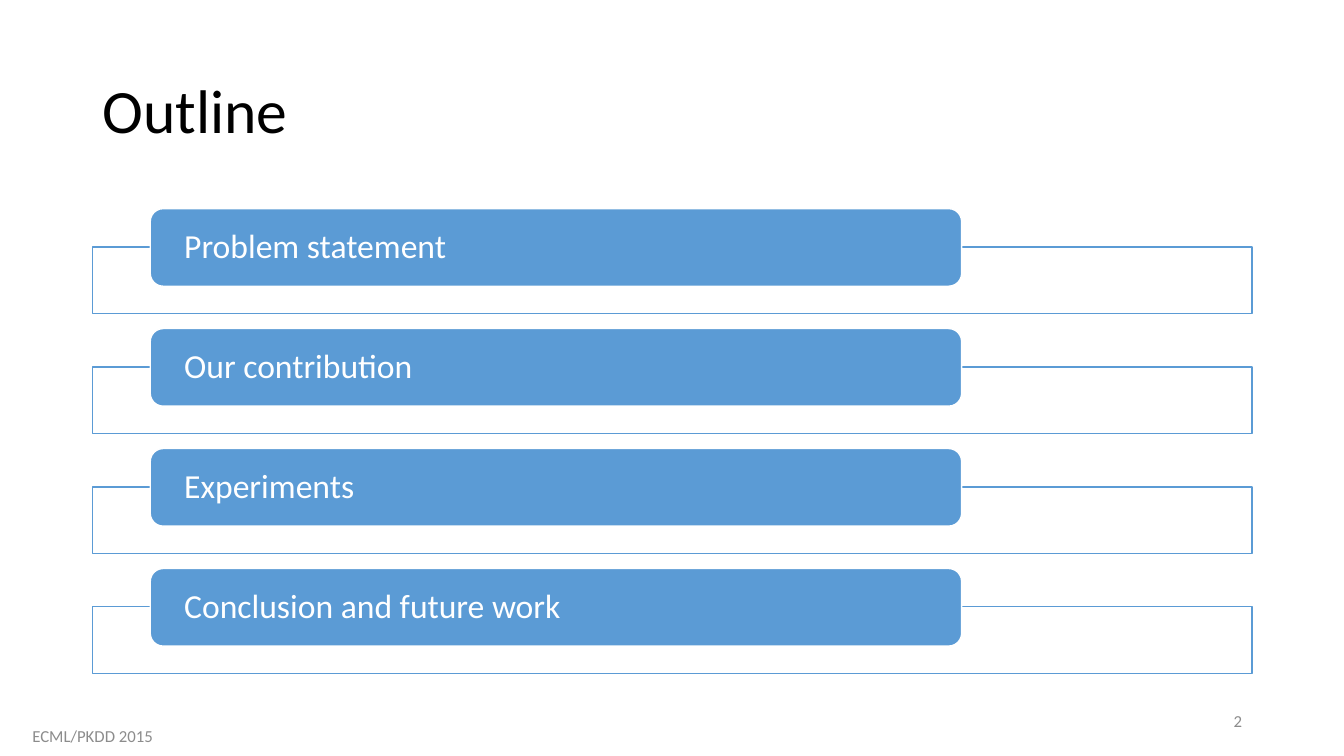
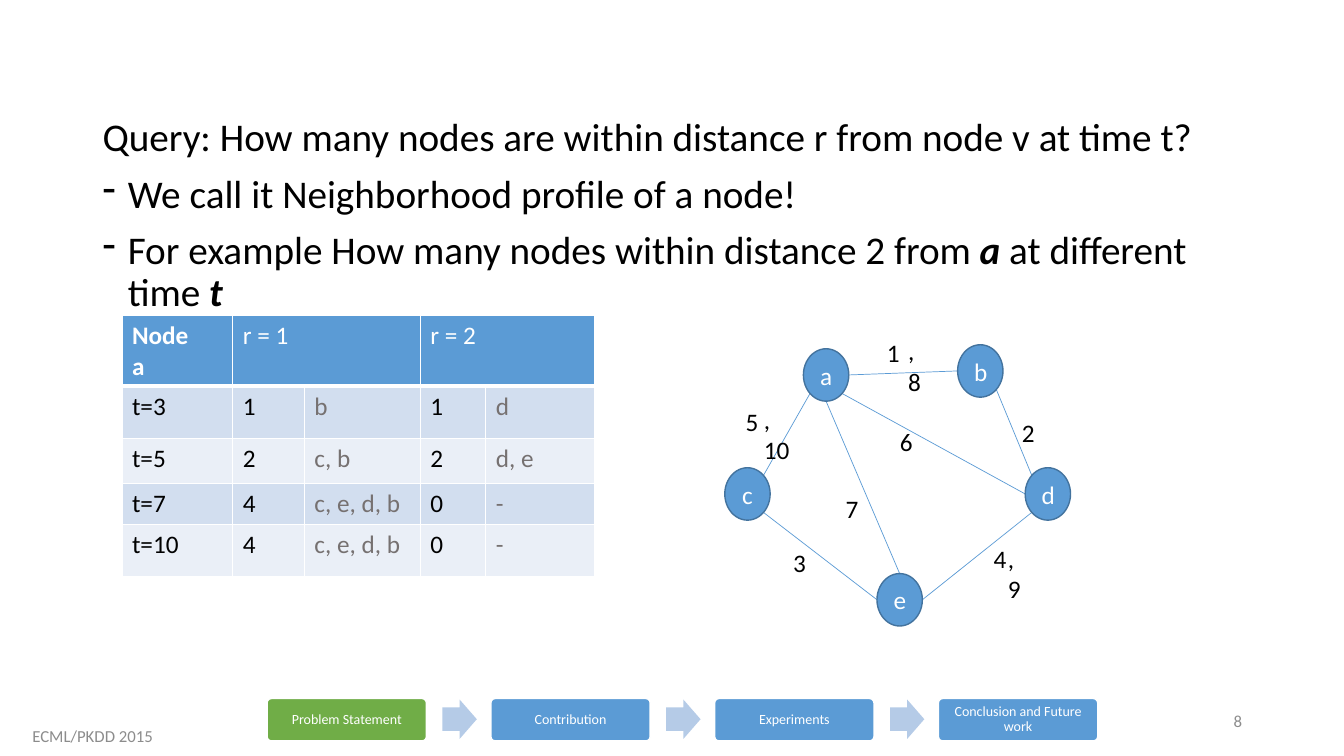
import math
from collections import namedtuple

from lxml import etree
from pptx import Presentation
from pptx import util as u
from pptx.dml.color import RGBColor
from pptx.enum import shapes, text
from pptx.oxml.ns import qn

BLUE = RGBColor(0x5B, 0x9B, 0xD5)
NAVY = RGBColor(0x43, 0x73, 0x9E)
PALE = RGBColor(0xB5, 0xCB, 0xE7)
GREEN = RGBColor(0x70, 0xAD, 0x47)
BANDS = RGBColor(0xD2, 0xDE, 0xEF), RGBColor(0xEA, 0xEF, 0xF7)
WHITE = RGBColor(0xFF, 0xFF, 0xFF)
BLACK = RGBColor(0, 0, 0)
GRAY = RGBColor(0x8C, 0x8C, 0x8C)
SLATE = RGBColor(0x76, 0x71, 0x71)
FONT = "Calibri"

KIND = shapes.MSO_SHAPE
LEFT, MID, RIGHT = text.PP_ALIGN.LEFT, text.PP_ALIGN.CENTER, text.PP_ALIGN.RIGHT
INSET = (1, 0.5, 1, 0.5)

# All lengths count cells of a square grid, ten cells to the inch.
CELL = u.Inches(0.1)
WIDE, HIGH = 133.33, 75
EDGE, SPAN = 9.2, 115


class Box(namedtuple("Box", "x y w h")):
    def sub(self, x, y, w, h):
        """Box placed from this box's top left corner."""
        return Box(self.x + x, self.y + y, w, h)

    def emu(self):
        return [cells(n) for n in self]


def cells(n):
    return round(n * CELL)


def style(font, size, color, **more):
    """Set the format values of a font."""
    for key, val in dict(name=FONT, size=u.Pt(size), **more).items():
        setattr(font, key, val)
    font.color.rgb = color


def write(item, words, size, color, align=LEFT, inset=INSET, lead=1.0,
          anchor=text.MSO_ANCHOR.MIDDLE):
    frame = item.text_frame
    values = dict(zip(("margin_left", "margin_top", "margin_right", "margin_bottom"),
                      map(cells, inset)), word_wrap=True, vertical_anchor=anchor)
    for key, val in values.items():
        setattr(frame, key, val)
    para = frame.paragraphs[0]
    para.alignment, para.line_spacing = align, lead
    run = para.add_run()
    run.text = words
    style(run.font, size, color)


def label(slide, box, words, size, color, **more):
    write(slide.shapes.add_textbox(*box.emu()), words, size, color, **more)


def block(slide, kind, box, fill, line=None, adj=()):
    item = slide.shapes.add_shape(kind, *box.emu())
    item.shadow.inherit = False
    item.fill.solid()
    item.fill.fore_color.rgb = fill
    if line is None:
        item.line.fill.background()
    else:
        item.line.color.rgb = line
        item.line.width = u.Pt(1)
    for i, val in enumerate(adj):
        item.adjustments[i] = val
    return item


def footer(slide, box, number):
    label(slide, box.sub(0, 71, 18.4, 4), "ECML/PKDD 2015", 12, GRAY, align=MID)
    label(slide, box.sub(94.2, 69.5, 30, 4), str(number), 12, GRAY, align=RIGHT)


def topics(slide, box, names):
    """Tabs that each sit on the top edge of a wide frame."""
    for i, name in enumerate(names):
        row = box.sub(0, i * 11.9, box.w, 10.4)
        block(slide, KIND.RECTANGLE, row.sub(0, 3.8, row.w, 6.6), WHITE, BLUE)
        tab = block(slide, KIND.ROUNDED_RECTANGLE,
                    row.sub(5.7, 0, row.w * 0.7, 7.7), BLUE, WHITE)
        write(tab, name, 24, WHITE, inset=(3, 0, 3, 0), lead=0.9)


def steps(slide, box, names, now):
    """Progress bar whose current step is green."""
    for i, name in enumerate(names):
        col = box.sub(i * 22.2, 0, 15.8, box.h)
        if i:
            block(slide, KIND.RIGHT_ARROW, col.sub(-4.8, 0.1, 3.4, 3.9), PALE,
                  adj=(0.6, 0.5))
        chip = block(slide, KIND.ROUNDED_RECTANGLE, col,
                     GREEN if i == now else BLUE, WHITE, (0.1,))
        write(chip, name, 10, WHITE, MID, (0.4,) * 4, 0.9)


def bullet(para):
    props = para._p.get_or_add_pPr()
    props.set("marL", str(cells(2.5)))
    props.set("indent", str(cells(-2.5)))
    etree.SubElement(props, qn("a:buChar")).set("char", "-")


def query(slide, box, lines):
    """Each line is a list of runs; runs that start with * are strong."""
    frame = slide.shapes.add_textbox(*box.emu()).text_frame
    frame.word_wrap = True
    for i, runs in enumerate(lines):
        para = frame.add_paragraph() if i else frame.paragraphs[0]
        para.line_spacing = 0.9
        if i:
            para.space_before = u.Pt(10)
            bullet(para)
        for words in runs:
            run = para.add_run()
            run.text = words.lstrip("*")
            strong = words.startswith("*")
            style(run.font, 28, BLACK, bold=strong, italic=strong)


def borders(cell, top, bottom):
    props = cell._tc.get_or_add_tcPr()
    for side, width in dict(L=1, R=1, T=top, B=bottom).items():
        line = etree.SubElement(props, qn("a:ln" + side), w=str(u.Pt(width)))
        fill = etree.SubElement(line, qn("a:solidFill"))
        etree.SubElement(fill, qn("a:srgbClr"), val=str(WHITE))


def profile(slide, box, rows, wide, high):
    grid = slide.shapes.add_table(len(rows), len(wide), *box.emu()).table
    for col, size in zip(grid.columns, wide):
        col.width = cells(size)
    for row, size in zip(grid.rows, high):
        row.height = cells(size)
    for r, row in enumerate(rows):
        for c, words in enumerate(row):
            cell = grid.cell(r, c)
            borders(cell, 3 if r == 1 else 1, 1 if r else 3)
            cell.fill.solid()
            cell.fill.fore_color.rgb = BANDS[(r - 1) % 2] if r else BLUE
            cell.text = words
            ink = WHITE if r == 0 else SLATE if c in (2, 4) else BLACK
            for para in cell.text_frame.paragraphs:
                style(para.font, 18, ink, bold=r == c == 0)
    for c in (1, 3):
        grid.cell(0, c).merge(grid.cell(0, c + 1))


NODE = 4.5, 5.2
NODES = dict(a=(7.8, 1.8), b=(23.1, 1.4), c=(0, 13.6), d=(29.8, 13.6), e=(15.1, 24.1))
# Each end is a node and the angle on its rim, clockwise from the right.
EDGES = [("a", 0, "b", 180), ("a", 135, "c", 315), ("a", 90, "e", 270),
         ("a", 45, "d", 180), ("b", 45, "d", 225), ("c", 45, "e", 180),
         ("e", 0, "d", 135)]
TIMES = [("1", 15.1, 0.2), (", 8", 17.2, 0), ("5", 1.1, 7), (", 10", 2.9, 6.8),
         ("2", 28.5, 8.1), ("3", 5.8, 21), ("4", 25.7, 20.6), (", 9", 27.1, 20.6),
         ("6", 16.4, 9), ("7", 11, 15.6)]


def rim(box, name, turn):
    """Point on the rim of a node."""
    x, y = NODES[name]
    w, h = NODE
    turn = math.radians(turn)
    return (cells(box.x + x + w / 2 * (1 + math.cos(turn))),
            cells(box.y + y + h / 2 * (1 + math.sin(turn))))


def graph(slide, box):
    for start, out, end, into in EDGES:
        line = slide.shapes.add_connector(shapes.MSO_CONNECTOR.STRAIGHT,
                                          *rim(box, start, out), *rim(box, end, into))
        line.line.color.rgb = BLUE
        line.line.width = u.Pt(0.5)
        etree.SubElement(line._element.spPr, qn("a:effectLst"))
    for name, spot in NODES.items():
        node = block(slide, KIND.OVAL, box.sub(*spot, *NODE), BLUE, NAVY)
        write(node, name, 18, WHITE, MID)
    for words, x, y in TIMES:
        wide = {1: 2.7, 3: 3.6, 4: 4.7}[len(words)]
        label(slide, box.sub(x, y, wide, 3.9), words, 18, BLACK,
              anchor=text.MSO_ANCHOR.TOP)


def outline(slide, page):
    label(slide, page.sub(EDGE, 4, SPAN, 14.5), "Outline", 44, BLACK, lead=0.9)
    topics(slide, page.sub(EDGE, 20.7, SPAN, 46.1),
           ["Problem statement", "Our contribution", "Experiments",
            "Conclusion and future work"])
    footer(slide, page, 2)


def example(slide, page):
    query(slide, page.sub(EDGE, 11.2, SPAN, 56.3), [
        ["Query: How many nodes are within distance r from node v at time t?"],
        ["We call it Neighborhood profile of a node!"],
        ["For example How many nodes within distance 2 from ", "*a",
         " at different time ", "*t"]])
    profile(slide, page.sub(12.1, 31.3, 46.8, 26), [
        ["Node\na", "r = 1", "", "r = 2", ""],
        ["t=3", "1", "b", "1", "d"],
        ["t=5", "2", "c, b", "2", "d, e"],
        ["t=7", "4", "c, e, d, b", "0", "-"],
        ["t=10", "4", "c, e, d, b", "0", "-"]],
        (11, 7.1, 11.5, 6.5, 10.8), (6.5, 5.2, 4.5, 3.7, 5.2))
    graph(slide, page.sub(71.9, 32.8, 34.3, 29.3))
    steps(slide, page.sub(26.5, 69.3, 82.4, 4.2),
          ["Problem Statement", "Contribution", "Experiments",
           "Conclusion and Future work"], 0)
    footer(slide, page, 8)


def main():
    deck = Presentation()
    deck.slide_width, deck.slide_height = cells(WIDE), cells(HIGH)
    for draw in (outline, example):
        draw(deck.slides.add_slide(deck.slide_layouts[6]), Box(0, 0, WIDE, HIGH))
    deck.save("out.pptx")


if __name__ == "__main__":
    main()
